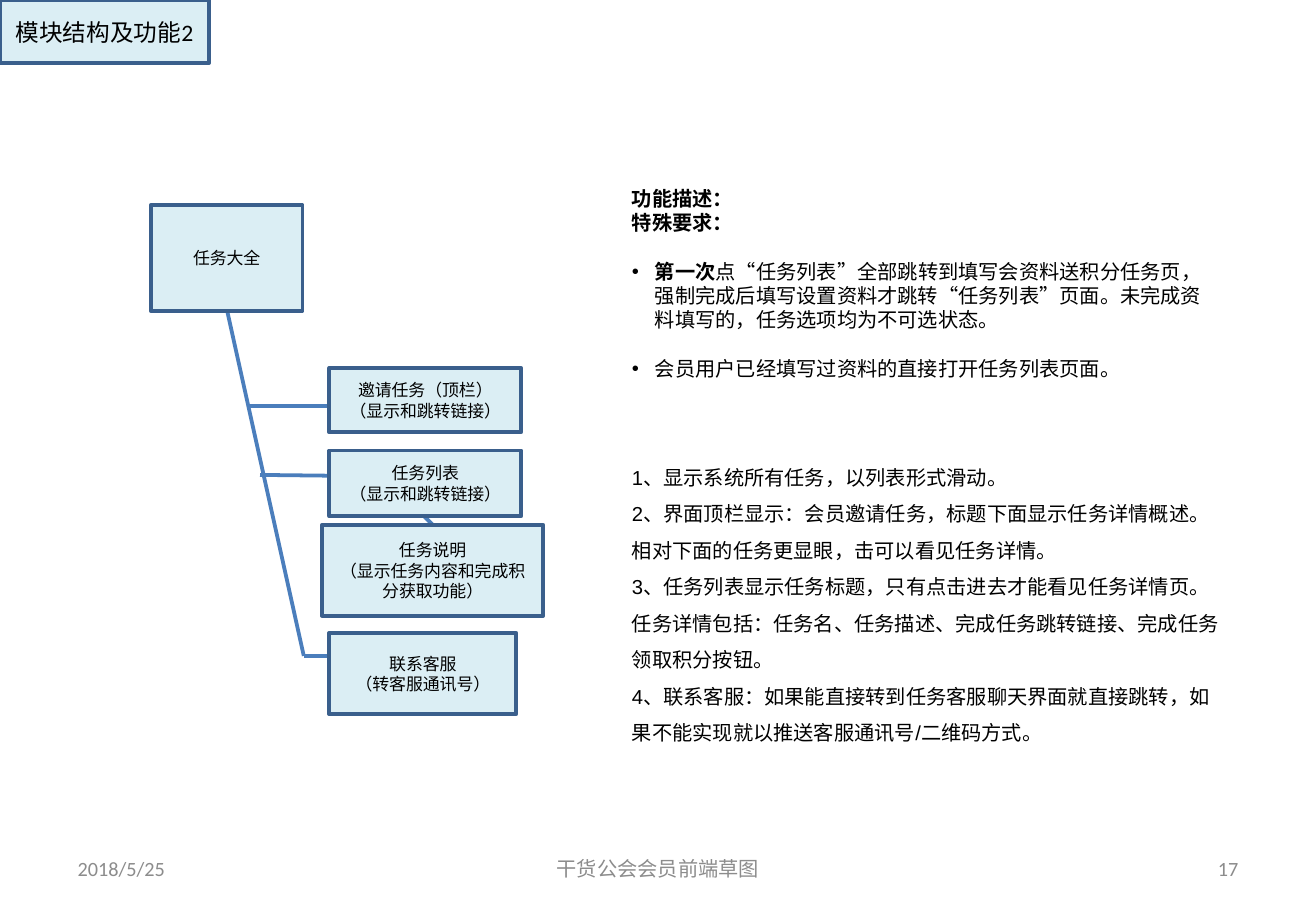
"""Build the task module slide: a structure tree beside its feature notes."""
from lxml.etree import SubElement
from pptx import Presentation
from pptx.dml.color import RGBColor
from pptx.enum.shapes import MSO_CONNECTOR as Connector, MSO_SHAPE as Shape
from pptx.enum.text import MSO_ANCHOR as Anchor, MSO_AUTO_SIZE as AutoSize, PP_ALIGN as Align
from pptx.oxml.ns import qn
from pptx.util import Pt

PX = 9144
BLACK = RGBColor(0x00, 0x00, 0x00)
GREY = RGBColor(0x8C, 0x8C, 0x8C)
PALE = RGBColor(0xDB, 0xEE, 0xF4)
NAVY = RGBColor(0x3A, 0x5F, 0x8C)
BLUE = RGBColor(0x4B, 0x7E, 0xBC)


def write(para, text, size=12, color=BLACK, font="Calibri", bold=False, align=Align.LEFT):
    para.alignment = align
    span = para.add_run()
    span.text = text
    span.font.size = Pt(size)
    span.font.name = font
    span.font.bold = bold
    span.font.color.rgb = color


def panel(box, lines, size):
    box.fill.solid()
    box.fill.fore_color.rgb = PALE
    box.line.color.rgb = NAVY
    box.line.width = Pt(2.25)
    frame = box.text_frame
    frame.word_wrap = True
    frame.auto_size = AutoSize.NONE
    frame.vertical_anchor = Anchor.MIDDLE
    for index, line in enumerate(lines):
        para = frame.add_paragraph() if index else frame.paragraphs[0]
        write(para, line, size=size, align=Align.CENTER)


deck = Presentation()
deck.slide_width, deck.slide_height = 1083 * PX, 750 * PX
page = deck.slides.add_slide(deck.slide_layouts[1])
title, body = page.placeholders

title.left, title.top, title.width, title.height = 0, 0, 172 * PX, 52 * PX
panel(title, ["模块结构及功能2"], 14)

body.left, body.top, body.width, body.height = 510 * PX, 138 * PX, 504 * PX, 505 * PX
notes = body.text_frame
notes.word_wrap = True
notes.auto_size = AutoSize.NONE
notes.vertical_anchor = Anchor.TOP
NOTES = [
    (1.5, 0, False, [("功能描述：", "Arial", True)]),
    (1, 0, False, [("特殊要求：", "Arial", True)]),
    (1, 14.5, True, [
        ("第一次", "Calibri", True),
        ("点“任务列表”全部跳转到填写会资料送积分任务页，强制完成后填写设置资料才跳转“任务列表”页面。"
         "未完成资料填写的，任务选项均为不可选状态。", "Calibri", False)]),
    (1, 14.5, True, [("会员用户已经填写过资料的直接打开任务列表页面。", "Calibri", False)]),
    (1.5, 43, False, [("1、显示系统所有任务，以列表形式滑动。", "Arial", False)]),
    (1.5, 0, False, [("2、界面顶栏显示：会员邀请任务，标题下面显示任务详情概述。"
                      "相对下面的任务更显眼，击可以看见任务详情。", "Arial", False)]),
    (1.5, 0, False, [("3、任务列表显示任务标题，只有点击进去才能看见任务详情页。"
                      "任务详情包括：任务名、任务描述、完成任务跳转链接、完成任务领取积分按钮。",
                      "Arial", False)]),
    (1.5, 0, False, [("4、联系客服：如果能直接转到任务客服聊天界面就直接跳转，"
                      "如果不能实现就以推送客服通讯号/二维码方式。", "Arial", False)]),
]
for index, (spacing, before, bulleted, spans) in enumerate(NOTES):
    para = notes.add_paragraph() if index else notes.paragraphs[0]
    props = para._p.get_or_add_pPr()
    indent = 19 * PX if bulleted else 0
    props.set("marL", str(indent))
    props.set("indent", str(-indent))
    if bulleted:
        SubElement(props, qn("a:buFont")).set("typeface", "Arial")
        SubElement(props, qn("a:buChar")).set("char", "•")
    else:
        SubElement(props, qn("a:buNone"))
    para.line_spacing = spacing
    para.space_before = Pt(before)
    para.space_after = Pt(0)
    for text, font, bold in spans:
        write(para, text, font=font, bold=bold)

BRANCHES = [
    (187, 256, 250, 540),
    (206, 334, 315, 334),
    (214, 391, 302, 392),
    (250, 540, 319, 540),
    (349, 425, 356, 432),
]
for ends in BRANCHES:
    branch = page.shapes.add_connector(Connector.STRAIGHT, *(end * PX for end in ends))
    branch.line.color.rgb = BLUE
    branch.line.width = Pt(2.25)
    SubElement(branch._element.spPr, qn("a:effectLst"))

MODULES = [
    (124, 169, 125, 87, ["任务大全"]),
    (271, 303, 158, 53, ["邀请任务（顶栏）", "（显示和跳转链接）"]),
    (271, 371, 158, 54, ["任务列表", "（显示和跳转链接）"]),
    (271, 521, 154, 67, ["联系客服", "（转客服通讯号）"]),
    (265, 432, 182, 75, ["任务说明", "（显示任务内容和完成积分获取功能）"]),
]
for *area, lines in MODULES:
    module = page.shapes.add_shape(Shape.RECTANGLE, *(length * PX for length in area))
    module.shadow.inherit = False
    panel(module, lines, 10)

FOOTERS = [
    (54, 253, "2018/5/25", Align.LEFT),
    (370, 343, "干货公会会员前端草图", Align.CENTER),
    (776, 253, "17", Align.RIGHT),
]
for left, width, text, align in FOOTERS:
    footer = page.shapes.add_textbox(left * PX, 695 * PX, width * PX, 40 * PX).text_frame
    footer.word_wrap = True
    footer.vertical_anchor = Anchor.MIDDLE
    write(footer.paragraphs[0], text, color=GREY, align=align)

deck.save("out.pptx")
